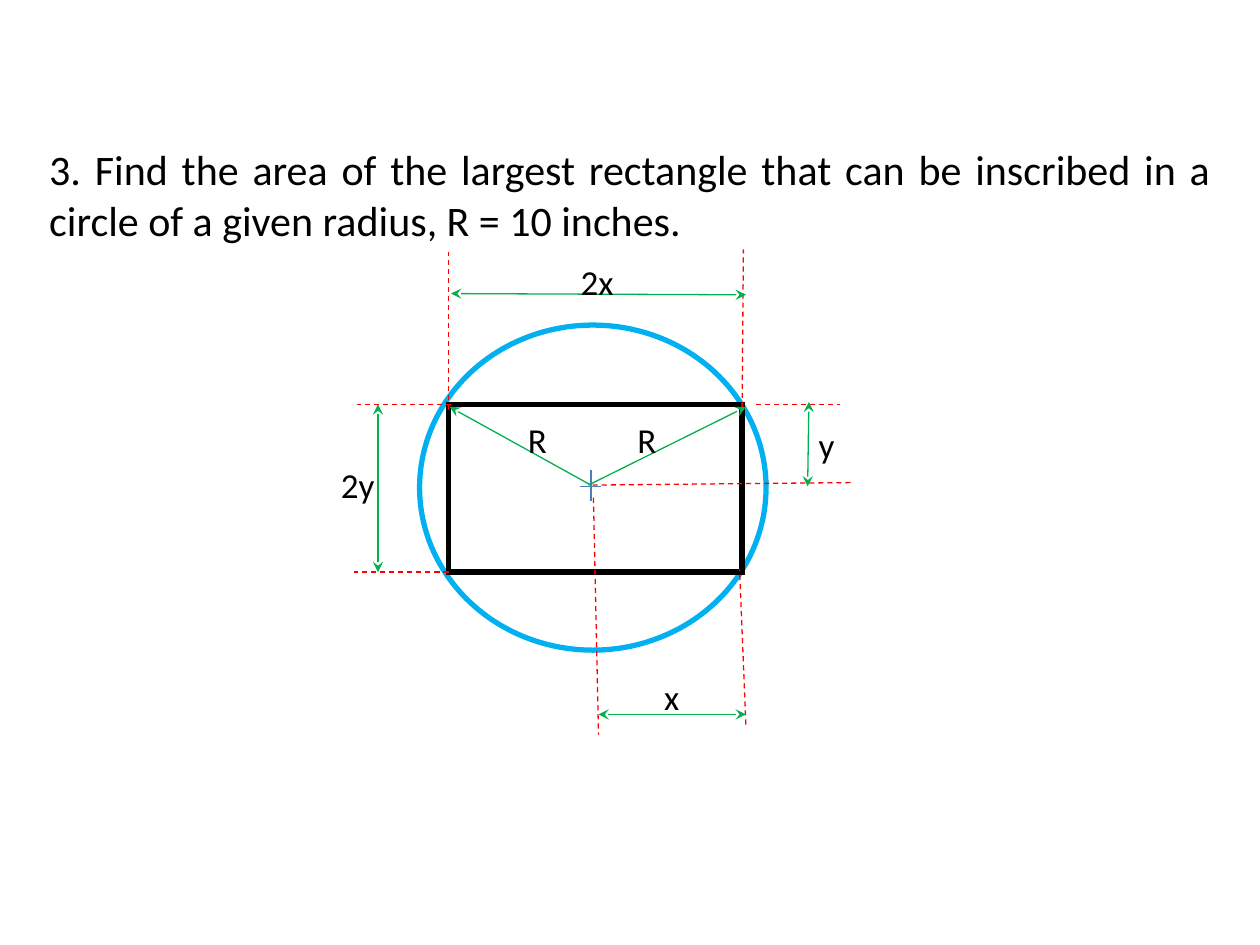
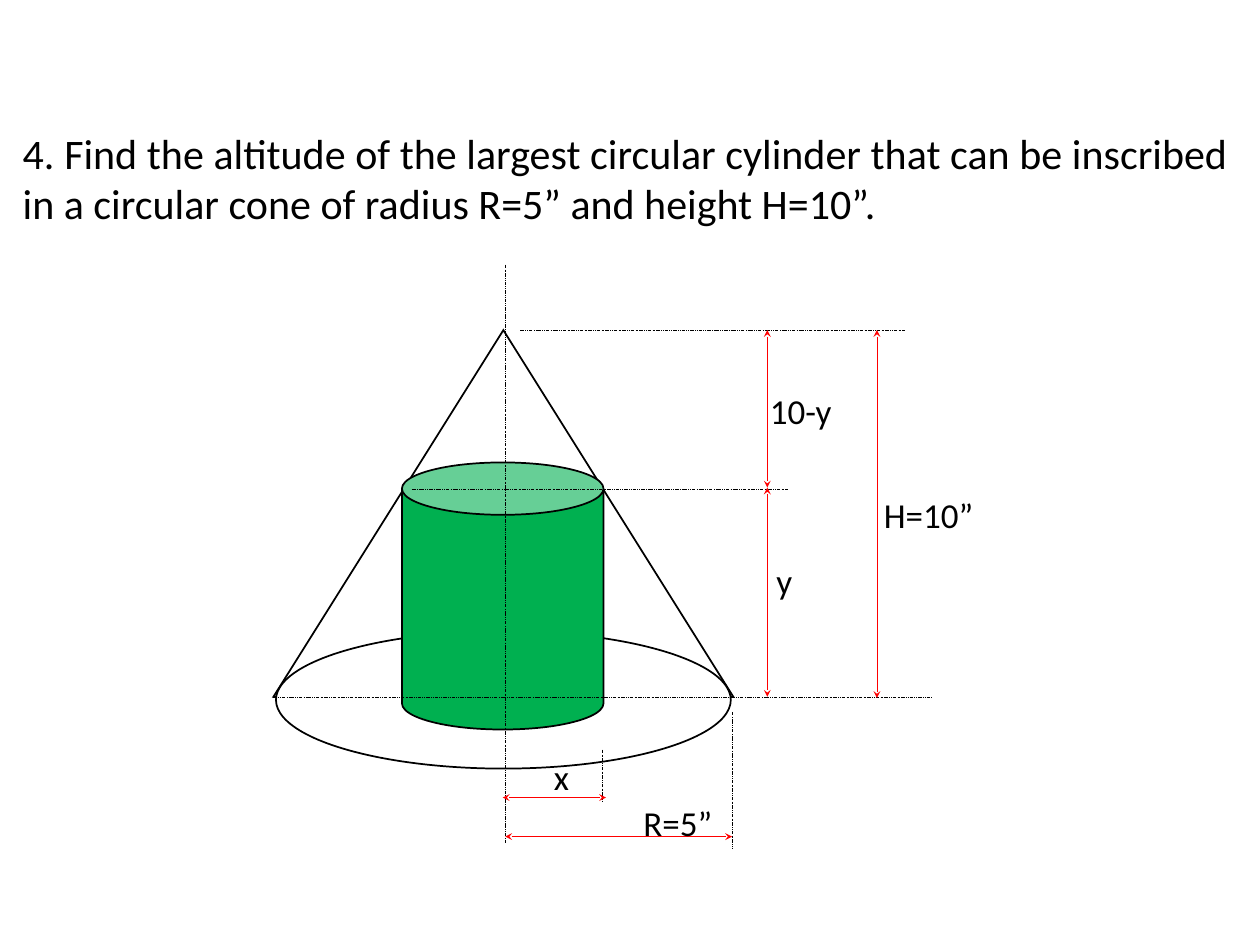
from dataclasses import dataclass

from lxml.etree import SubElement
from pptx import Presentation
from pptx.dml.color import RGBColor
from pptx.enum.dml import MSO_LINE
from pptx.enum.shapes import MSO_CONNECTOR, MSO_SHAPE
from pptx.enum.text import MSO_ANCHOR, MSO_AUTO_SIZE, PP_ALIGN
from pptx.oxml.ns import qn
from pptx.util import Pt

PX = 9144  # EMU in one px, 100 px to the inch


@dataclass(frozen=True)
class Theme:
    font: str = "Calibri"
    title: int = 24
    label: int = 20
    black: str = "000000"
    white: str = "FFFFFF"
    red: str = "FF0000"
    green: str = "00B050"
    sky: str = "00B0F0"
    blue: str = "4A7EBB"


T = Theme()

# Line styles: colour, width, dash, arrow ends, arrow size
STYLES = {
    "guide": (T.red, 0.75, MSO_LINE.DASH, (), None),
    "size": (T.green, 0.75, None, ("head", "tail"), "med"),
    "radius": (T.green, 0.75, None, ("head",), "med"),
    "cross": (T.blue, 0.75, None, (), None),
    "axis": (T.black, 0.25, MSO_LINE.DASH_DOT_DOT, (), None),
    "span": (T.red, 0.25, None, ("head", "tail"), "sm"),
}

# Edges of the rectangle and centre of the circle
LEFT, RIGHT, TOP, BASE = 356, 589, 321, 454
MID = (469, 385)

# Axis, apex, floor, cylinder top, and dimension columns of the cone
AXIS, APEX, FLOOR, LID = 401, 262, 553, 388
EDGE, RIM = 478, 581
NEAR, FAR = 609, 696

# Shapes: kind, box, fill, line colour, line width, adjustment
# Lines: style, then from x, y to x, y
# Labels: text, box
SLIDES = [
    {
        "title": ("3. Find the area of the largest rectangle that can be "
                  "inscribed in a circle of a given radius, R = 10 inches.",
                  (29, 109, 942, 90)),
        "shapes": [
            (MSO_SHAPE.OVAL, (333, 258, 275, 258), None, T.sky, 3, None),
            (MSO_SHAPE.RECTANGLE, (LEFT, TOP, RIGHT - LEFT, BASE - TOP),
             None, T.black, 3, None),
        ],
        "lines": [
            ("radius", 357, 323, *MID),
            ("cross", 469, 373, 469, 398),
            ("cross", 460, 386, 477, 386),
            ("radius", 592, 323, 467, 385),
            ("guide", 675, 383, *MID),
            ("guide", 600, TOP, 667, TOP),
            ("guide", 471, 395, 475, 583),
            ("guide", 592, 575, 587, 452),
            ("size", 642, 319, 641, 386),
            ("size", 475, 567, 592, 567),
            ("guide", LEFT, 325, LEFT, 200),
            ("guide", RIGHT, 323, 590, 198),
            ("guide", 358, TOP, 283, TOP),
            ("guide", LEFT, BASE, 281, BASE),
            ("size", 358, 233, 592, 234),
            ("size", 300, TOP, 300, BASE),
        ],
        "labels": [
            ("R", (496, 327, 35, 44)),
            ("R", (409, 327, 35, 44)),
            ("x", (517, 531, 32, 44)),
            ("y", (640, 331, 32, 44)),
            ("2y", (261, 363, 46, 44)),
            ("2x", (451, 202, 46, 44)),
        ],
    },
    {
        "title": ("4. Find the altitude of the largest circular cylinder that "
                  "can be inscribed in a circular cone of radius R=5” and "
                  "height H=10”.",
                  (8, 96, 977, 90)),
        "shapes": [
            (MSO_SHAPE.ISOSCELES_TRIANGLE, (217, APEX, 365, FLOOR - APEX),
             T.white, T.black, 1, None),
            (MSO_SHAPE.OVAL, (219, 501, 361, 109), T.white, T.black, 1, None),
            (MSO_SHAPE.CAN, (319, 367, 160, 212), T.green, T.black, 1, 0.26),
        ],
        "lines": [
            ("axis", 217, FLOOR, 740, FLOOR),
            ("axis", AXIS, 210, AXIS, 669),
            ("span", AXIS, 664, RIM, 664),
            ("axis", 327, LID, 625, LID),
            ("axis", EDGE, 595, EDGE, 636),
            ("axis", RIM, 565, RIM, 673),
            ("span", 399, 633, 481, 633),
            ("axis", 413, APEX, 718, APEX),
            ("span", FAR, APEX, FAR, 554),
            ("span", NEAR, APEX, NEAR, 387),
            ("span", NEAR, 387, NEAR, FLOOR),
        ],
        "labels": [
            ("H=10”", (691, 387, 92, 38)),
            ("10-y", (600, 304, 71, 55)),
            ("y", (595, 439, 55, 46)),
            ("x", (416, 595, 59, 39)),
            ("R=5”", (493, 631, 90, 46)),
        ],
    },
]


def emu(box):
    return [n * PX for n in box]


def ink(line, tone, width):
    line.color.rgb = RGBColor.from_string(tone)
    line.width = Pt(width)


def write(frame, text, size, align, wrap):
    frame.text = text
    frame.word_wrap = wrap
    frame.auto_size = MSO_AUTO_SIZE.NONE
    para = frame.paragraphs[0]
    para.alignment = align
    para.font.name = T.font
    para.font.size = Pt(size)
    para.font.color.rgb = RGBColor.from_string(T.black)


def add_title(slide, text, box):
    title = slide.shapes.title
    title.left, title.top, title.width, title.height = emu(box)
    write(title.text_frame, text, T.title, PP_ALIGN.JUSTIFY, True)
    title.text_frame.vertical_anchor = MSO_ANCHOR.MIDDLE


def add_form(slide, kind, box, fill, tone, width, adjust):
    form = slide.shapes.add_shape(kind, *emu(box))
    form.shadow.inherit = False
    if fill:
        form.fill.solid()
        form.fill.fore_color.rgb = RGBColor.from_string(fill)
    else:
        form.fill.background()
    if adjust is not None:
        form.adjustments[0] = adjust
    ink(form.line, tone, width)
    # Sharp corners
    edge = form._element.spPr.find(qn("a:ln"))
    SubElement(edge, qn("a:miter"), lim="800000")


def add_line(slide, style, *ends):
    tone, width, dash, tips, size = STYLES[style]
    link = slide.shapes.add_connector(MSO_CONNECTOR.STRAIGHT, *emu(ends))
    ink(link.line, tone, width)
    if dash:
        link.line.dash_style = dash
    props = link._element.spPr
    for tip in tips:
        SubElement(props.find(qn("a:ln")), qn(f"a:{tip}End"),
                   type="stealth", w=size, len=size)
    SubElement(props, qn("a:effectLst"))


def add_label(slide, text, box):
    frame = slide.shapes.add_textbox(*emu(box)).text_frame
    write(frame, text, T.label, PP_ALIGN.CENTER, False)


def main():
    deck = Presentation()
    deck.slide_width, deck.slide_height = emu((1000, 750))
    for page in SLIDES:
        slide = deck.slides.add_slide(deck.slide_layouts[5])
        add_title(slide, *page["title"])
        for form in page["shapes"]:
            add_form(slide, *form)
        for line in page["lines"]:
            add_line(slide, *line)
        for label in page["labels"]:
            add_label(slide, *label)
    deck.save("out.pptx")


if __name__ == "__main__":
    main()
